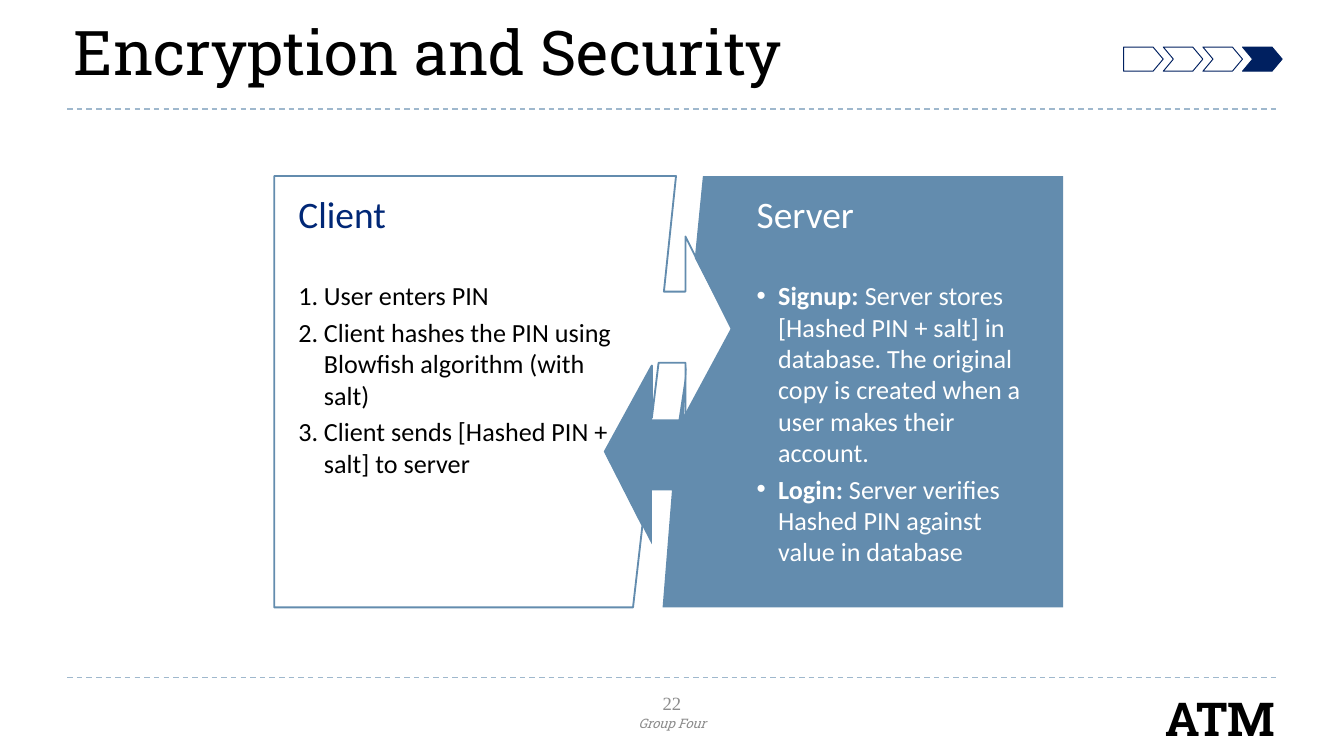
import dataclasses
from typing import Optional

import lxml.etree
import pptx
import pptx.dml.color
import pptx.enum.dml
import pptx.enum.shapes
import pptx.enum.text
import pptx.oxml.ns
import pptx.util

Inches = pptx.util.Inches
Pt = pptx.util.Pt
Shape = pptx.enum.shapes.MSO_SHAPE
Align = pptx.enum.text.PP_ALIGN
Anchor = pptx.enum.text.MSO_ANCHOR
qn = pptx.oxml.ns.qn

COLORS = {
    "black": "000000", "white": "FFFFFF", "gray": "8C8C8C", "rule": "9FB8CD",
    "steel": "638CAE", "navy": "002060", "client": "002776",
}
Box = tuple[float, float, float, float]


@dataclasses.dataclass
class Panel:
    outline: list[tuple[float, float]]
    fill: str
    line: Optional[str]


@dataclasses.dataclass
class Column:
    box: Box
    heading: str
    heading_color: str
    item_color: str
    indent: float
    bullet: tuple[str, dict[str, str]]
    items: list[tuple[str, str]]  # bold lead-in, rest of the item


@dataclasses.dataclass
class Label:
    box: Box
    text: str
    font: dict


PANELS = [
    Panel([(4.71, 4.52), (2.04, 4.52), (2.04, 1.31), (5.03, 1.31), (4.94, 2.17),
           (5.1, 2.17), (5.1, 1.76), (5.45, 2.46), (5.1, 3.11), (5.1, 2.7),
           (4.9, 2.7), (4.85, 3.11), (4.85, 2.72), (4.5, 3.36), (4.78, 3.91)],
          "white", "steel"),
    Panel([(5.23, 1.31), (7.91, 1.31), (7.91, 4.52), (4.93, 4.52), (5, 3.65),
           (4.85, 3.65), (4.85, 4.05), (4.5, 3.37), (4.85, 2.72), (4.85, 3.12),
           (5.05, 3.12), (5.11, 2.72), (5.09, 3.09), (5.44, 2.44), (5.17, 1.92)],
          "steel", None),
]
COLUMNS = [
    Column((2.12, 1.37, 2.54, 3.08), "Client", "client", "black", 0.19,
           ("a:buAutoNum", {"type": "arabicPeriod"}),
           [("", "User enters PIN"),
            ("", "Client hashes the PIN using Blowfish algorithm (with salt)"),
            ("", "Client sends [Hashed PIN + salt] to server")]),
    Column((5.53, 1.37, 2.31, 3.1), "Server", "white", "white", 0.16,
           ("a:buChar", {"char": "•"}),
           [("Signup: ", "Server stores [Hashed PIN + salt] in database. The original "
                         "copy is created when a user makes their account."),
            ("Login:", " Server verifies Hashed PIN against value in database")]),
]
LABELS = [
    Label((8.46, 5.08, 1.24, 0.52), "ATM",
          {"name": "Roboto Slab", "size": Pt(25), "bold": True, "color": "black"}),
    Label((3.31, 5.23, 3.38, 0.3), "Group Four",
          {"name": "Roboto Slab", "size": Pt(7), "italic": True, "color": "gray"}),
    Label((4.81, 5.11, 0.38, 0.24), "22",
          {"name": "Times New Roman", "size": Pt(10), "color": "gray"}),
]
STEPS = 4
STEP_LEFT, STEP_TOP, STEP_HEIGHT = 8.36, 0.35, 0.18
STEP_WIDTH = (9.54 - STEP_LEFT) / STEPS


def rgb(name: str) -> pptx.dml.color.RGBColor:
    return pptx.dml.color.RGBColor.from_string(COLORS[name])


def set_all(target, values: dict) -> None:
    for attribute, value in values.items():
        setattr(target, attribute, value)


def place(shape, box: Box) -> None:
    set_all(shape, dict(zip(("left", "top", "width", "height"), map(Inches, box))))


def add_run(paragraph, text: str, font: dict) -> None:
    run = paragraph.add_run()
    run.text = text
    set_all(run.font, {key: value for key, value in font.items() if key != "color"})
    run.font.color.rgb = rgb(font["color"])


def paint(shape, fill: Optional[str], line: Optional[str], width: float) -> None:
    shape.shadow.inherit = False
    if fill:
        shape.fill.solid()
        shape.fill.fore_color.rgb = rgb(fill)
    else:
        shape.fill.background()
    if line:
        shape.line.color.rgb = rgb(line)
        shape.line.width = Pt(width)
    else:
        shape.line.fill.background()


def add_rule(slide, y: float) -> None:
    rule = slide.shapes.add_connector(
        pptx.enum.shapes.MSO_CONNECTOR.STRAIGHT,
        Inches(0.5), Inches(y), Inches(9.5), Inches(y))
    rule.line.color.rgb = rgb("rule")
    rule.line.width = Pt(0.75)
    rule.line.dash_style = pptx.enum.dml.MSO_LINE.DASH
    lxml.etree.SubElement(rule._element.spPr, qn("a:effectLst"))


def add_label(slide, label: Label) -> None:
    box = slide.shapes.add_textbox(*map(Inches, label.box))
    set_all(box.text_frame, {"word_wrap": True, "vertical_anchor": Anchor.MIDDLE})
    paragraph = box.text_frame.paragraphs[0]
    paragraph.alignment = Align.CENTER
    add_run(paragraph, label.text, label.font)


def add_panel(slide, panel: Panel) -> None:
    points = [(round(x * 100), round(y * 100)) for x, y in panel.outline]
    builder = slide.shapes.build_freeform(*points[0], scale=Inches(0.01))
    builder.add_line_segments(points[1:], close=True)
    paint(builder.convert_to_shape(), panel.fill, panel.line, 1)


def set_bullet(paragraph, indent: float, tag: str, attributes: dict[str, str]) -> None:
    properties = paragraph._p.get_or_add_pPr()
    properties.set("marL", str(Inches(indent)))
    properties.set("indent", str(-Inches(indent)))
    lxml.etree.SubElement(properties, qn(tag), attributes)


def fill_column(slide, body, column: Column) -> None:
    slide.shapes._spTree.append(body._element)  # in front of the panels
    place(body, column.box)
    frame = body.text_frame
    set_all(frame, {"word_wrap": True, "vertical_anchor": Anchor.TOP,
                    "auto_size": pptx.enum.text.MSO_AUTO_SIZE.NONE})
    heading = frame.paragraphs[0]
    set_all(heading, {"space_before": Pt(0), "space_after": Pt(23.5)})
    set_bullet(heading, 0, "a:buNone", {})
    add_run(heading, column.heading,
            {"name": "Calibri", "size": Pt(20), "color": column.heading_color})
    for lead, rest in column.items:
        item = frame.add_paragraph()
        set_all(item, {"space_before": Pt(0), "space_after": Pt(2.8)})
        set_bullet(item, column.indent, *column.bullet)
        for text, bold in ((lead, True), (rest, False)):
            if text:
                add_run(item, text, {"name": "Calibri", "size": Pt(14), "bold": bold,
                                     "color": column.item_color})


def add_progress(slide) -> None:
    """Draw the step arrows, with the last step filled as the current one."""
    progress = slide.shapes.add_group_shape()
    for step in range(STEPS):
        kind = Shape.CHEVRON if step else Shape.PENTAGON
        arrow = progress.shapes.add_shape(
            kind, Inches(STEP_LEFT + step * STEP_WIDTH), Inches(STEP_TOP),
            Inches(STEP_WIDTH), Inches(STEP_HEIGHT))
        arrow.adjustments[0] = 0.42
        paint(arrow, "navy" if step == STEPS - 1 else None, "navy", 0.5)


def fill_title(title) -> None:
    place(title, (0.5, 0.11, 9, 0.6))
    margins = ("margin_left", "margin_top", "margin_right", "margin_bottom")
    set_all(title.text_frame, dict.fromkeys(margins, Inches(0.05)))
    set_all(title.text_frame, {"vertical_anchor": Anchor.MIDDLE, "word_wrap": True,
                               "auto_size": pptx.enum.text.MSO_AUTO_SIZE.NONE})
    paragraph = title.text_frame.paragraphs[0]
    set_all(paragraph, {"alignment": Align.LEFT, "line_spacing": 0.9})
    add_run(paragraph, "Encryption and Security",
            {"name": "Roboto Slab", "size": Pt(33), "color": "black"})


def main() -> None:
    deck = pptx.Presentation()
    set_all(deck, {"slide_width": Inches(10), "slide_height": Inches(10 * 9 / 16)})
    slide = deck.slides.add_slide(deck.slide_layouts.get_by_name("Two Content"))
    title, *bodies = slide.placeholders
    fill_title(title)
    for y in (0.81, 5.04):
        add_rule(slide, y)
    for label in LABELS:
        add_label(slide, label)
    for panel in PANELS:
        add_panel(slide, panel)
    for body, column in zip(bodies, COLUMNS):
        fill_column(slide, body, column)
    add_progress(slide)
    deck.save("out.pptx")


if __name__ == "__main__":
    main()
